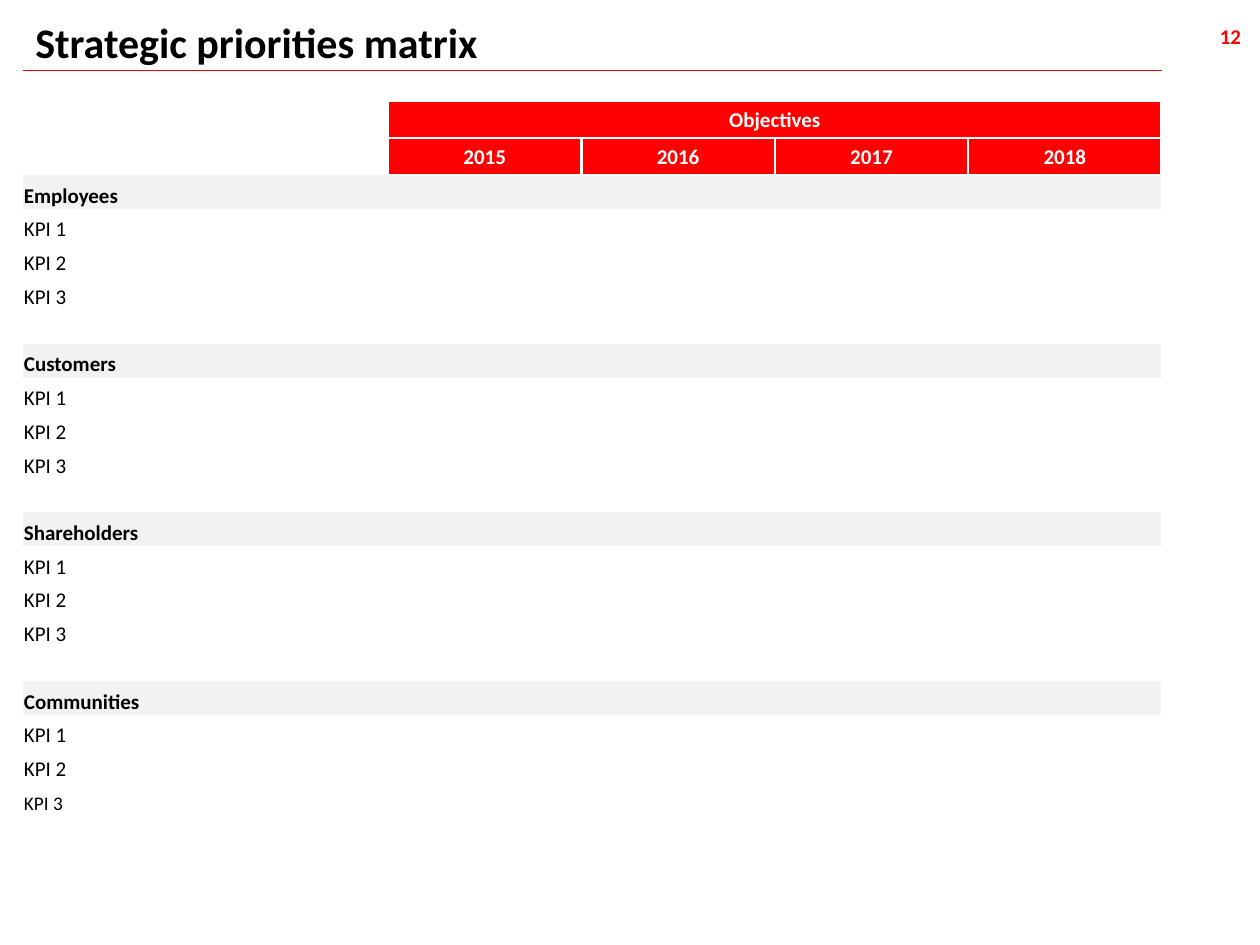
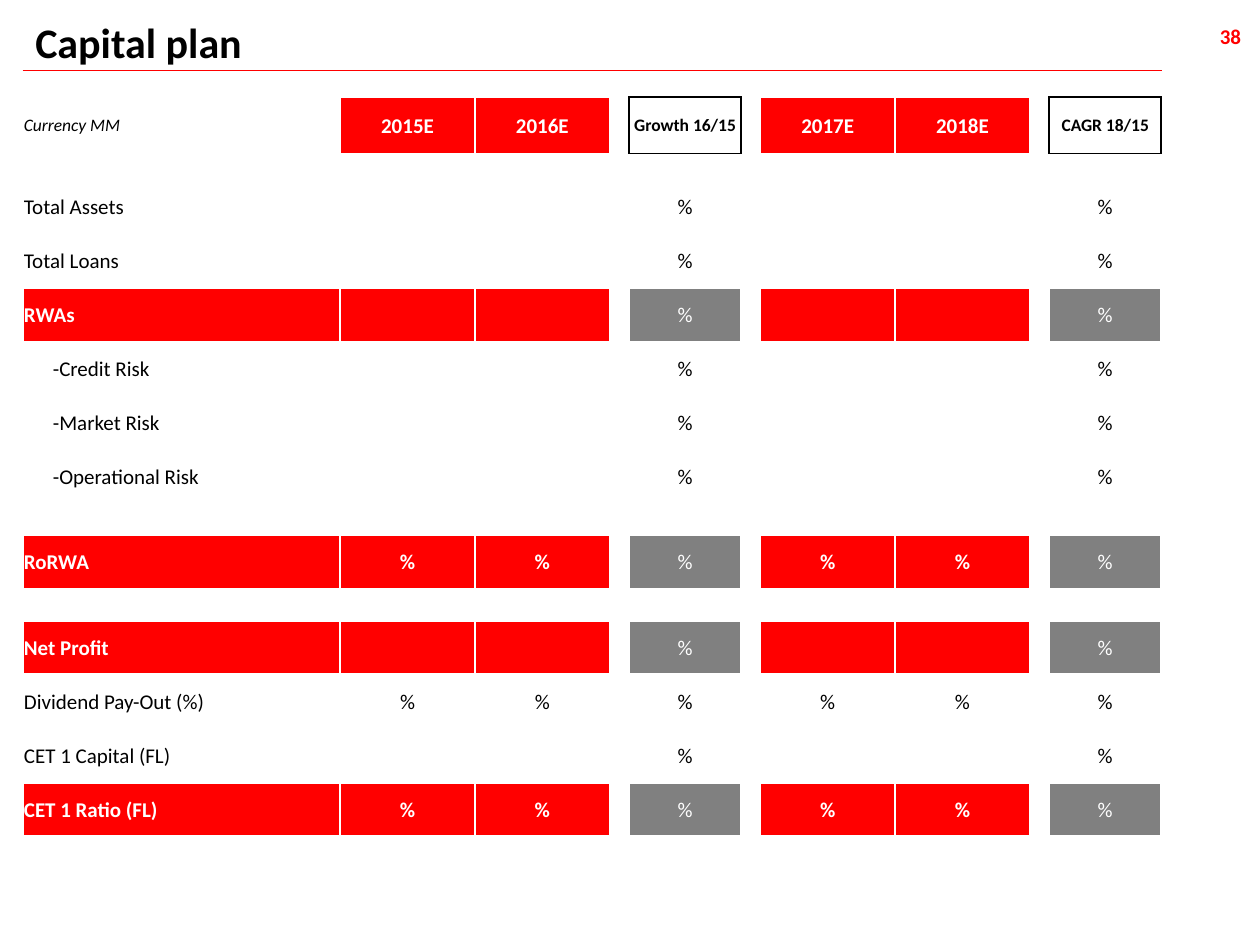
"""Build the strategic priorities matrix and the capital plan slides."""
from dataclasses import dataclass
from typing import NamedTuple, Optional

from lxml.etree import SubElement
from pptx import Presentation
from pptx.dml.color import RGBColor
from pptx.enum.shapes import MSO_CONNECTOR
from pptx.enum.text import MSO_ANCHOR, MSO_AUTO_SIZE, PP_ALIGN
from pptx.oxml.ns import qn
from pptx.presentation import Presentation as Deck
from pptx.slide import Slide
from pptx.table import Table, _Cell
from pptx.text.text import TextFrame
from pptx.util import Inches, Pt

WIDTH, HEIGHT = Inches(10), Inches(7.5)
GRID_COLUMNS, GRID_ROWS = 100, 75
FONT = "Calibri"
RED, GREY, PALE, WHITE, BLACK = "FF0000", "808080", "F2F2F2", "FFFFFF", "000000"
PLAIN_TABLE = "{2D5ABB26-0587-4C30-8999-92F81FD0307C}"
LEFT, CONTENT_WIDTH = 1.8, 90.4


@dataclass(frozen=True)
class Area:
    """Place and size in grid columns and rows."""
    left: float
    top: float
    width: float
    height: float

    def emu(self) -> tuple[int, int, int, int]:
        """Return left, top, width and height in EMU."""
        return across(self.left), down(self.top), across(self.width), down(self.height)


@dataclass(frozen=True)
class CellStyle:
    """Look of one kind of table cell."""
    fill: Optional[str] = None
    color: str = BLACK
    size: float = 12
    bold: bool = False
    italic: bool = False
    align: PP_ALIGN = PP_ALIGN.LEFT
    anchor: MSO_ANCHOR = MSO_ANCHOR.MIDDLE
    indent: float = 0.01
    border: Optional[str] = None
    border_width: float = 1.5


class PlanLine(NamedTuple):
    """One line of the capital plan."""
    label: str
    highlighted: bool = False
    is_ratio: bool = False
    is_detail: bool = False


TITLE_AREA = Area(LEFT, 0.8, 95.7, 5)
NUMBER_AREA = Area(94.9, 1.4, 4.2, 3.1)
RULE_TOP = 5.6

SPACER = CellStyle(size=10)
YEAR = CellStyle(RED, WHITE, bold=True, align=PP_ALIGN.CENTER, border=WHITE)
GROUP = CellStyle(PALE, bold=True, anchor=MSO_ANCHOR.BOTTOM)
KPI = CellStyle(anchor=MSO_ANCHOR.BOTTOM)
LAST_KPI = CellStyle(size=11, anchor=MSO_ANCHOR.BOTTOM)
CURRENCY = CellStyle(size=10, italic=True)
GROWTH_HEAD = CellStyle(size=10, bold=True, align=PP_ALIGN.CENTER,
                        border=BLACK, border_width=1)
LABEL = CellStyle()
DETAIL = CellStyle(indent=0.24)
FIGURE = CellStyle(align=PP_ALIGN.CENTER)
BAND_LABEL = CellStyle(RED, WHITE, bold=True, border=WHITE)
BAND_GROWTH = CellStyle(GREY, WHITE, align=PP_ALIGN.CENTER, border=WHITE)

STAKEHOLDERS = ["Employees", "Customers", "Shareholders", "Communities"]
KPIS = ["KPI 1", "KPI 2", "KPI 3"]
OBJECTIVE_YEARS = ["2015", "2016", "2017", "2018"]
FIRST_YEAR_COLUMN = 2

PLAN_HEADS = {1: "2015E", 2: "2016E", 4: "Growth 16/15",
              6: "2017E", 7: "2018E", 9: "CAGR 18/15"}
GROWTH_COLUMNS = (4, 9)
PLAN_LINES = [
    None,
    PlanLine("Total Assets"),
    PlanLine("Total Loans"),
    PlanLine("RWAs", highlighted=True),
    PlanLine("-Credit Risk", is_detail=True),
    PlanLine("-Market Risk", is_detail=True),
    PlanLine("-Operational Risk", is_detail=True),
    None,
    PlanLine("RoRWA", highlighted=True, is_ratio=True),
    None,
    PlanLine("Net Profit", highlighted=True),
    PlanLine("Dividend Pay-Out (%)", is_ratio=True),
    PlanLine("CET 1 Capital (FL)"),
    PlanLine("CET 1 Ratio (FL)", highlighted=True, is_ratio=True),
]


def across(columns: float) -> int:
    """Turn grid columns into EMU."""
    return round(WIDTH * columns / GRID_COLUMNS)


def down(rows: float) -> int:
    """Turn grid rows into EMU."""
    return round(HEIGHT * rows / GRID_ROWS)


def rgb(color: str) -> RGBColor:
    """Turn a hex string into a colour."""
    return RGBColor.from_string(color)


def write(frame: TextFrame, text: str, *, size: float, color: str = BLACK,
          bold: bool = False, italic: bool = False,
          align: PP_ALIGN = PP_ALIGN.LEFT) -> None:
    """Put one formatted line of text into a frame."""
    paragraph = frame.paragraphs[0]
    paragraph.alignment = align
    run = paragraph.add_run()
    run.text = text
    run.font.name = FONT
    run.font.size = Pt(size)
    run.font.bold = bold
    run.font.italic = italic
    run.font.color.rgb = rgb(color)


def draw_borders(cell: _Cell, color: str, width: float) -> None:
    """Draw all four borders of a cell."""
    properties = cell._tc.get_or_add_tcPr()
    for position, side in enumerate(("L", "R", "T", "B")):
        border = SubElement(properties, qn(f"a:ln{side}"), w=str(Pt(width)))
        fill = SubElement(border, qn("a:solidFill"))
        SubElement(fill, qn("a:srgbClr"), val=color)
        properties.insert(position, border)


def fill_cell(cell: _Cell, style: CellStyle, text: str = "") -> None:
    """Format a cell and write its text."""
    cell.margin_left = Inches(style.indent)
    cell.margin_top = cell.margin_right = Inches(0.01)
    cell.margin_bottom = 0
    cell.vertical_anchor = style.anchor
    if style.fill:
        cell.fill.solid()
        cell.fill.fore_color.rgb = rgb(style.fill)
    else:
        cell.fill.background()
    if style.border:
        draw_borders(cell, style.border, style.border_width)
    if text:
        write(cell.text_frame, text, size=style.size, color=style.color,
              bold=style.bold, italic=style.italic, align=style.align)
    else:
        SubElement(cell.text_frame.paragraphs[0]._p, qn("a:endParaRPr"),
                   sz=str(round(style.size * 100)))


def add_grid(slide: Slide, top: float, widths: list[float],
             heights: list[float]) -> Table:
    """Add a plain table with the given column widths and row heights."""
    area = Area(LEFT, top, sum(widths), sum(heights))
    table = slide.shapes.add_table(len(heights), len(widths), *area.emu()).table
    table.first_row = table.horz_banding = False
    table._tbl.tblPr.find(qn("a:tableStyleId")).text = PLAIN_TABLE
    for column, width in zip(table.columns, widths):
        column.width = across(width)
    for row, height in zip(table.rows, heights):
        row.height = down(height)
    return table


def add_slide(deck: Deck, title: str, number: str) -> Slide:
    """Add a slide with its title, red rule and page number."""
    slide = deck.slides.add_slide(deck.slide_layouts[5])
    heading = slide.shapes.title
    heading.left, heading.top, heading.width, heading.height = TITLE_AREA.emu()
    heading.text_frame.auto_size = MSO_AUTO_SIZE.NONE
    heading.text_frame.vertical_anchor = MSO_ANCHOR.TOP
    write(heading.text_frame, title, size=24, bold=True)

    page = slide.shapes.add_textbox(*NUMBER_AREA.emu()).text_frame
    page.word_wrap = False
    page.margin_left = page.margin_right = Inches(0.06)
    write(page, number, size=12, color=RED, bold=True, align=PP_ALIGN.RIGHT)

    rule = slide.shapes.add_connector(
        MSO_CONNECTOR.STRAIGHT, across(LEFT), down(RULE_TOP),
        across(LEFT + CONTENT_WIDTH), down(RULE_TOP))
    rule.line.color.rgb = rgb(RED)
    rule.line.width = Pt(0.75)
    SubElement(rule._element.spPr, qn("a:effectLst"))
    return slide


def build_priorities(deck: Deck) -> None:
    """Build the matrix of KPIs by stakeholder and year."""
    slide = add_slide(deck, "Strategic priorities matrix", "12")
    lines = []
    for stakeholder in STAKEHOLDERS:
        if lines:
            lines.append(("", SPACER))
        lines.append((stakeholder, GROUP))
        lines += [(kpi, KPI) for kpi in KPIS]
    lines[-1] = (KPIS[-1], LAST_KPI)

    widths = [25.2, 3.8] + [15.35] * len(OBJECTIVE_YEARS)
    matrix = add_grid(slide, 8, widths, [2.95] * 2 + [2.68] * len(lines))
    matrix.cell(0, FIRST_YEAR_COLUMN).merge(matrix.cell(0, len(widths) - 1))
    heads = [["Objectives", "", "", ""], OBJECTIVE_YEARS]
    for row, texts in enumerate(heads):
        for column in range(FIRST_YEAR_COLUMN):
            fill_cell(matrix.cell(row, column), SPACER)
        for column, text in enumerate(texts, FIRST_YEAR_COLUMN):
            fill_cell(matrix.cell(row, column), YEAR, text)
    for row, (label, style) in enumerate(lines, len(heads)):
        for column in range(len(widths)):
            fill_cell(matrix.cell(row, column), style, "" if column else label)


def plan_cell(line: Optional[PlanLine], column: int) -> tuple[CellStyle, str]:
    """Return style and text of a capital plan cell."""
    if line is None or (column and column not in PLAN_HEADS):
        return SPACER, ""
    if column == 0:
        plain = DETAIL if line.is_detail else LABEL
        return BAND_LABEL if line.highlighted else plain, line.label
    if column in GROWTH_COLUMNS:
        return BAND_GROWTH if line.highlighted else FIGURE, "%"
    return YEAR if line.highlighted else FIGURE, "%" if line.is_ratio else ""


def build_capital_plan(deck: Deck) -> None:
    """Build the capital plan with yearly values and growth rates."""
    slide = add_slide(deck, "Capital plan", "38")
    gap, year, growth = 1.53, 10.7, 8.9
    widths = [25.2, year, year, gap, growth, gap, year, year, gap, growth]
    heights = [4.5, 2.1] + [4.28 if line else 2.5 for line in PLAN_LINES[1:]]
    plan = add_grid(slide, 7.7, widths, heights)
    for column in range(len(widths)):
        head = GROWTH_HEAD if column in GROWTH_COLUMNS else YEAR
        fill_cell(plan.cell(0, column), head if column in PLAN_HEADS else CURRENCY,
                  PLAN_HEADS.get(column, "" if column else "Currency MM"))
        for row, line in enumerate(PLAN_LINES, 1):
            fill_cell(plan.cell(row, column), *plan_cell(line, column))


def main() -> None:
    """Build and save the deck."""
    deck = Presentation()
    deck.slide_width, deck.slide_height = WIDTH, HEIGHT
    build_priorities(deck)
    build_capital_plan(deck)
    deck.save("out.pptx")


if __name__ == "__main__":
    main()
